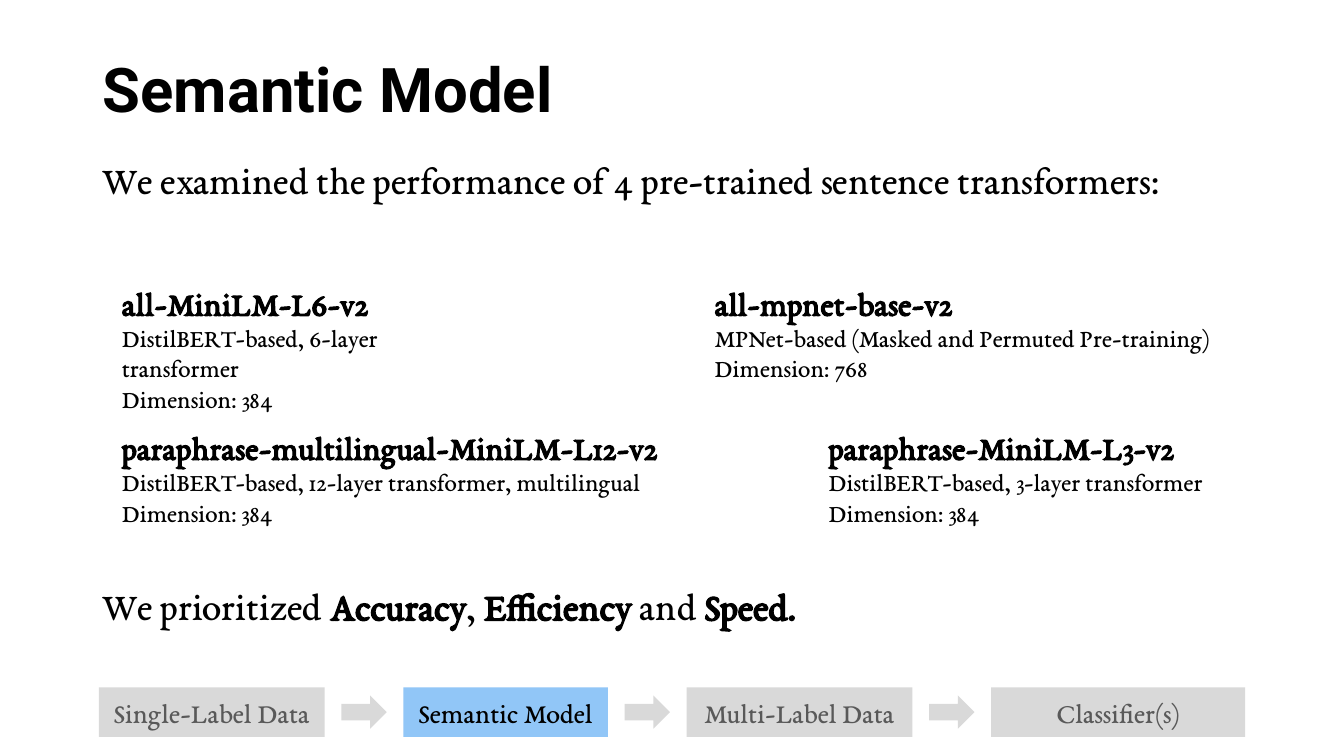
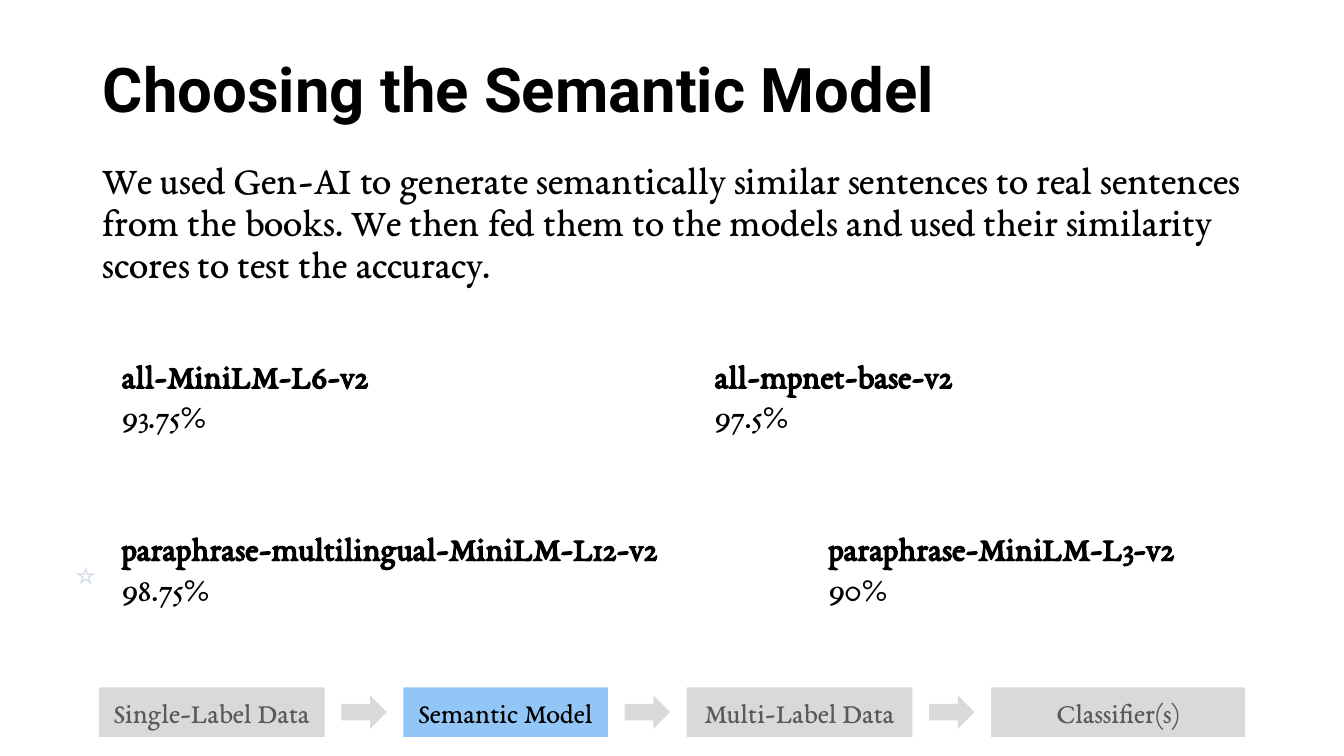
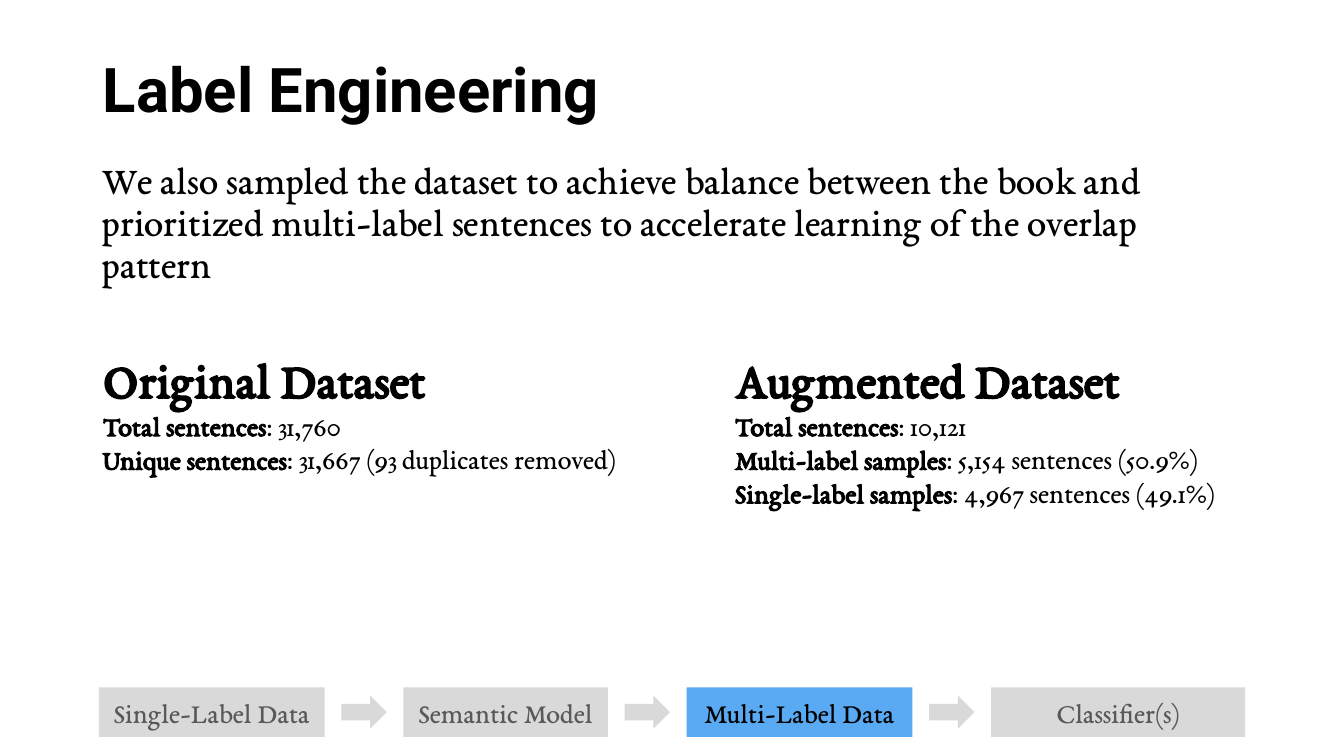
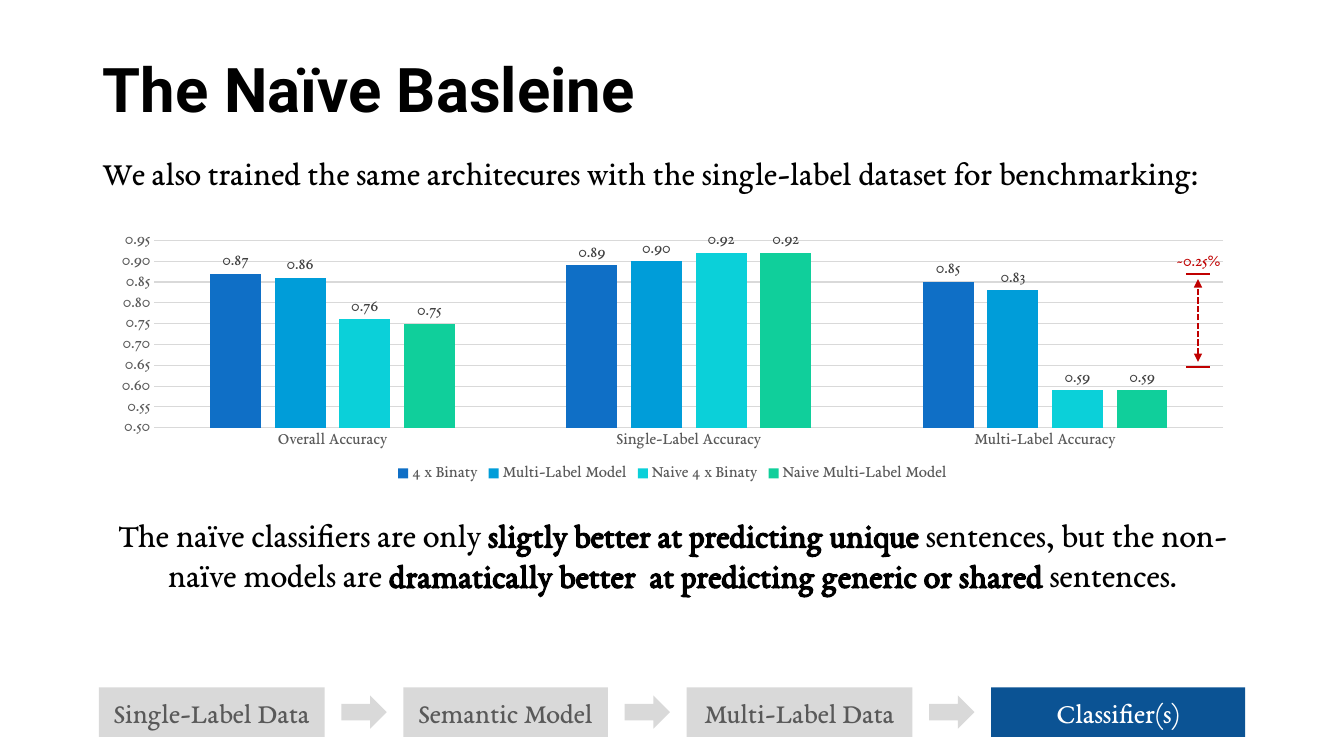
from collections import namedtuple

from pptx import Presentation
from pptx.chart.data import CategoryChartData
from pptx.dml.color import RGBColor
from pptx.enum.chart import XL_CHART_TYPE, XL_LABEL_POSITION, XL_LEGEND_POSITION, XL_TICK_MARK
from pptx.enum.dml import MSO_LINE
from pptx.enum.shapes import MSO_CONNECTOR, MSO_SHAPE
from pptx.enum.text import MSO_ANCHOR, MSO_AUTO_SIZE, PP_ALIGN
from pptx.oxml.ns import qn
from pptx.util import Inches, Pt

COLUMNS = XL_CHART_TYPE.COLUMN_CLUSTERED
OUTSIDE_END = XL_LABEL_POSITION.OUTSIDE_END
LEGEND_BOTTOM = XL_LEGEND_POSITION.BOTTOM
NO_TICK = XL_TICK_MARK.NONE
DASHED = MSO_LINE.SQUARE_DOT
STRAIGHT = MSO_CONNECTOR.STRAIGHT
RECTANGLE, RIGHT_ARROW = MSO_SHAPE.RECTANGLE, MSO_SHAPE.RIGHT_ARROW
TOP, MIDDLE = MSO_ANCHOR.TOP, MSO_ANCHOR.MIDDLE
LEFT, CENTER = PP_ALIGN.LEFT, PP_ALIGN.CENTER
NO_AUTOFIT = MSO_AUTO_SIZE.NONE

HEADING_FONT, BODY_FONT, STAR_FONT = "Roboto", "EB Garamond", "Lato"
BLACK, WHITE, RED, STAR_GREY = "000000", "FFFFFF", "C00000", "D8DEE9"
GREY, DARK_GREY, LABEL_GREY = "D9D9D9", "595959", "404040"

Box = namedtuple("Box", "left top width height")
TITLE_BOX = Box(0.92, 0.4, 11.5, 1.03)
INTRO_BOX = Box(0.92, 1.54, 11.5, 1.38)
FLOW_BOX = Box(0.98, 6.82, 11.38, 0.49)
CHART_BOX = Box(0.98, 2.25, 11.38, 2.57)

# Pipeline step: label, width, fill and text colour when active
STEPS = [
    ("Single-Label Data", 2.24, GREY, BLACK),
    ("Semantic Model", 2.03, "91C6F7", BLACK),
    ("Multi-Label Data", 2.24, "59AAF2", BLACK),
    ("Classifier(s)", 2.52, "0B5394", WHITE),
]
STEP_GAP, ARROW_WIDTH, ARROW_HEIGHT = 0.78, 0.45, 0.33

# Model: name, left offset, width, row
MODELS = [
    ("all-MiniLM-L6-v2", 0, 3.89, 0),
    ("all-mpnet-base-v2", 5.88, 5.11, 0),
    ("paraphrase-multilingual-MiniLM-L12-v2", 0, 6.03, 1),
    ("paraphrase-MiniLM-L3-v2", 7.01, 3.98, 1),
]
MODELS_LEFT = 1.11

ACCURACY_KINDS = ["Overall Accuracy", "Single-Label Accuracy", "Multi-Label Accuracy"]
CLASSIFIERS = [
    ("4 x Binaty", "0F6FC6", (0.87, 0.89, 0.85)),
    ("Multi-Label Model", "009DD9", (0.86, 0.90, 0.83)),
    ("Naive 4 x Binaty", "0BD0D9", (0.76, 0.92, 0.59)),
    ("Naive Multi-Label Model", "10CF9B", (0.75, 0.92, 0.59)),
]


def rgb(color):
    return RGBColor.from_string(color)


def inches(box):
    return [Inches(length) for length in box]


def set_font(font, size, color, name=BODY_FONT, bold=False):
    font.name, font.size, font.bold = name, Pt(size), bold
    font.color.rgb = rgb(color)


def write(frame, *paragraphs, size=24, color=BLACK, font=BODY_FONT, bold=False,
          align=LEFT, anchor=TOP, spacing=None, before=0, after=0):
    """Fill a frame; a paragraph is text or (text, size), with **bold** parts."""
    frame.word_wrap, frame.auto_size = True, NO_AUTOFIT
    frame.vertical_anchor = anchor
    for index, content in enumerate(paragraphs):
        words, points = (content, size) if isinstance(content, str) else content
        paragraph = frame.add_paragraph() if index else frame.paragraphs[0]
        paragraph.alignment = align
        paragraph.line_spacing = spacing
        paragraph.space_before, paragraph.space_after = Pt(before), Pt(after)
        for part, piece in enumerate(words.split("**")):
            if piece:
                run = paragraph.add_run()
                run.text = piece
                set_font(run.font, points, color, font, bold or part % 2 == 1)


def add_text(slide, box, *paragraphs, **style):
    write(slide.shapes.add_textbox(*inches(box)).text_frame, *paragraphs, **style)


def add_block(slide, kind, box, fill):
    block = slide.shapes.add_shape(kind, *inches(box))
    block.shadow.inherit = False
    block.fill.solid()
    block.fill.fore_color.rgb = rgb(fill)
    block.line.fill.background()
    return block


def add_line(slide, start, end, color, dashed_arrow=False):
    line = slide.shapes.add_connector(STRAIGHT, *inches(start + end))
    line.line.color.rgb = rgb(color)
    line.line.width = Pt(1.5)
    properties = line._element.spPr
    if dashed_arrow:
        line.line.dash_style = DASHED
        outline = properties.find(qn("a:ln"))
        for tip in ("a:headEnd", "a:tailEnd"):
            outline.makeelement(qn(tip), {})
            end_mark = outline.makeelement(qn(tip), {"type": "triangle"})
            outline.append(end_mark)
    properties.append(properties.makeelement(qn("a:effectLst"), {}))


def add_flow(slide, box, active):
    """Draw the pipeline along the foot with one step highlighted."""
    left = box.left
    for index, (label, width, fill, color) in enumerate(STEPS):
        if index:
            add_block(slide, RIGHT_ARROW,
                      Box(left - (STEP_GAP + ARROW_WIDTH) / 2,
                          box.top + (box.height - ARROW_HEIGHT) / 2,
                          ARROW_WIDTH, ARROW_HEIGHT), GREY)
        if label != active:
            fill, color = GREY, DARK_GREY
        step = add_block(slide, RECTANGLE, Box(left, box.top, width, box.height), fill)
        write(step.text_frame, label, size=20, color=color, align=CENTER, anchor=MIDDLE)
        left += width + STEP_GAP


def add_page(deck, title, intro, active, size=28, spacing=0.9):
    """Start a slide with its title, introduction and pipeline."""
    slide = deck.slides.add_slide(deck.slide_layouts[5])
    heading = slide.shapes.title
    heading.left, heading.top, heading.width, heading.height = inches(TITLE_BOX)
    write(heading.text_frame, title, size=44, font=HEADING_FONT, bold=True,
          anchor=MIDDLE, spacing=0.9)
    add_text(slide, INTRO_BOX, intro, size=size, spacing=spacing, before=10)
    add_flow(slide, FLOW_BOX, active)
    return slide


def add_models(slide, top, pitch, height, details, size):
    for (name, offset, width, row), lines in zip(MODELS, details):
        box = Box(MODELS_LEFT + offset, top + row * pitch, width, height)
        add_text(slide, box, (f"**{name}**", 24), *lines, size=size)


def add_accuracy_chart(slide, box):
    data = CategoryChartData(number_format="0.00")
    data.categories = ACCURACY_KINDS
    for name, _, values in CLASSIFIERS:
        data.add_series(name, values)
    chart = slide.shapes.add_chart(COLUMNS, *inches(box), data).chart
    set_font(chart.font, 10, BLACK)
    chart.has_title = False
    chart.has_legend = True
    chart.legend.position = LEGEND_BOTTOM
    chart.legend.include_in_layout = False
    set_font(chart.legend.font, 12, DARK_GREY)

    kinds, scale = chart.category_axis, chart.value_axis
    for axis in (kinds, scale):
        axis.major_tick_mark = axis.minor_tick_mark = NO_TICK
        set_font(axis.tick_labels.font, 12, DARK_GREY)
    scale.minimum_scale, scale.maximum_scale, scale.major_unit = 0.5, 0.95, 0.05
    scale.tick_labels.number_format = "0.00"
    scale.tick_labels.number_format_is_linked = False
    scale.format.line.fill.background()
    for rule in (kinds.format.line, scale.major_gridlines.format.line):
        rule.color.rgb = rgb(GREY)
        rule.width = Pt(0.75)

    plot = chart.plots[0]
    plot.gap_width, plot.overlap, plot.vary_by_categories = 219, -27, False
    for series, (_, color, _) in zip(plot.series, CLASSIFIERS):
        series.format.fill.solid()
        series.format.fill.fore_color.rgb = rgb(color)
        labels = series.data_labels
        labels.show_value, labels.position = True, OUTSIDE_END
        labels.number_format, labels.number_format_is_linked = "0.00", False
        set_font(labels.font, 12, LABEL_GREY)


def add_gap_marker(slide, box, label):
    """Mark the accuracy drop at the right of the chart."""
    center = box.left + 0.958 * box.width
    upper, lower = box.top + 0.183 * box.height, box.top + 0.541 * box.height
    add_text(slide, Box(center - 0.37, upper - 0.29, 0.75, 0.3), label,
             size=12, color=RED, align=CENTER)
    add_line(slide, (center, lower - 0.05), (center, upper + 0.05), RED, dashed_arrow=True)
    for level in (lower, upper):
        add_line(slide, (center - 0.12, level), (center + 0.12, level), RED)


def semantic_model(deck):
    slide = add_page(deck, "Semantic Model",
                     "We examined the performance of 4 pre-trained sentence transformers:",
                     "Semantic Model")
    add_models(slide, 2.75, 1.43, 1.11, [
        ("DistilBERT-based, 6-layer transformer", "Dimension: 384"),
        ("MPNet-based (Masked and Permuted Pre-training)", "Dimension: 768"),
        ("DistilBERT-based, 12-layer transformer, multilingual", "Dimension: 384"),
        ("DistilBERT-based, 3-layer transformer", "Dimension: 384"),
    ], size=18)
    add_text(slide, Box(0.92, 5.77, 11.5, 0.72),
             "We prioritized **Accuracy**, **Efficiency** and **Speed.**",
             size=28, spacing=0.9, before=10)


def choosing_model(deck):
    slide = add_page(deck, "Choosing the Semantic Model",
                     "We used Gen-AI to generate semantically similar sentences to real "
                     "sentences from the books. We then fed them to the models and used "
                     "their similarity scores to test the accuracy.", "Semantic Model")
    add_models(slide, 3.47, 1.71, 0.91,
               [("93.75%",), ("97.5%",), ("98.75%",), ("90%",)], size=24)
    add_text(slide, Box(0.64, 5.44, 0.56, 0.5), "⭐", color=STAR_GREY,
             font=STAR_FONT, bold=True, before=15, after=7.5)


def label_engineering(deck):
    slide = add_page(deck, "Label Engineering",
                     "We also sampled the dataset to achieve balance between the book and "
                     "prioritized multi-label sentences to accelerate learning of the "
                     "overlap pattern", "Multi-Label Data")
    datasets = [
        (0.92, 5.81, "Original Dataset",
         ("**Total sentences**: 31,760",
          "**Unique sentences**: 31,667 (93 duplicates removed)")),
        (7.19, 5.47, "Augmented Dataset",
         ("**Total sentences**: 10,121",
          "**Multi-label samples**: 5,154 sentences (50.9%)",
          "**Single-label samples**: 4,967 sentences (49.1%)")),
    ]
    for left, width, name, counts in datasets:
        add_text(slide, Box(left, 3.4, width, 1.72), (f"**{name}**", 36), *counts, size=20)


def naive_baseline(deck):
    slide = add_page(deck, "The Naïve Basleine",
                     "We also trained the same architecures with the single-label dataset "
                     "for benchmarking:", "Classifier(s)", size=23.8, spacing=0.8)
    add_accuracy_chart(slide, CHART_BOX)
    add_gap_marker(slide, CHART_BOX, "~0.25%")
    add_text(slide, Box(0.92, 5.05, 11.5, 0.91),
             "The naïve classifiers are only **sligtly better at predicting unique "
             "**sentences, but the non-naïve models are **dramatically better  at "
             "predicting generic or shared **sentences.", align=CENTER)


def main():
    deck = Presentation()
    deck.slide_width, deck.slide_height = Inches(13.33), Inches(7.5)
    for build in (semantic_model, choosing_model, label_engineering, naive_baseline):
        build(deck)
    deck.save("out.pptx")


if __name__ == "__main__":
    main()
